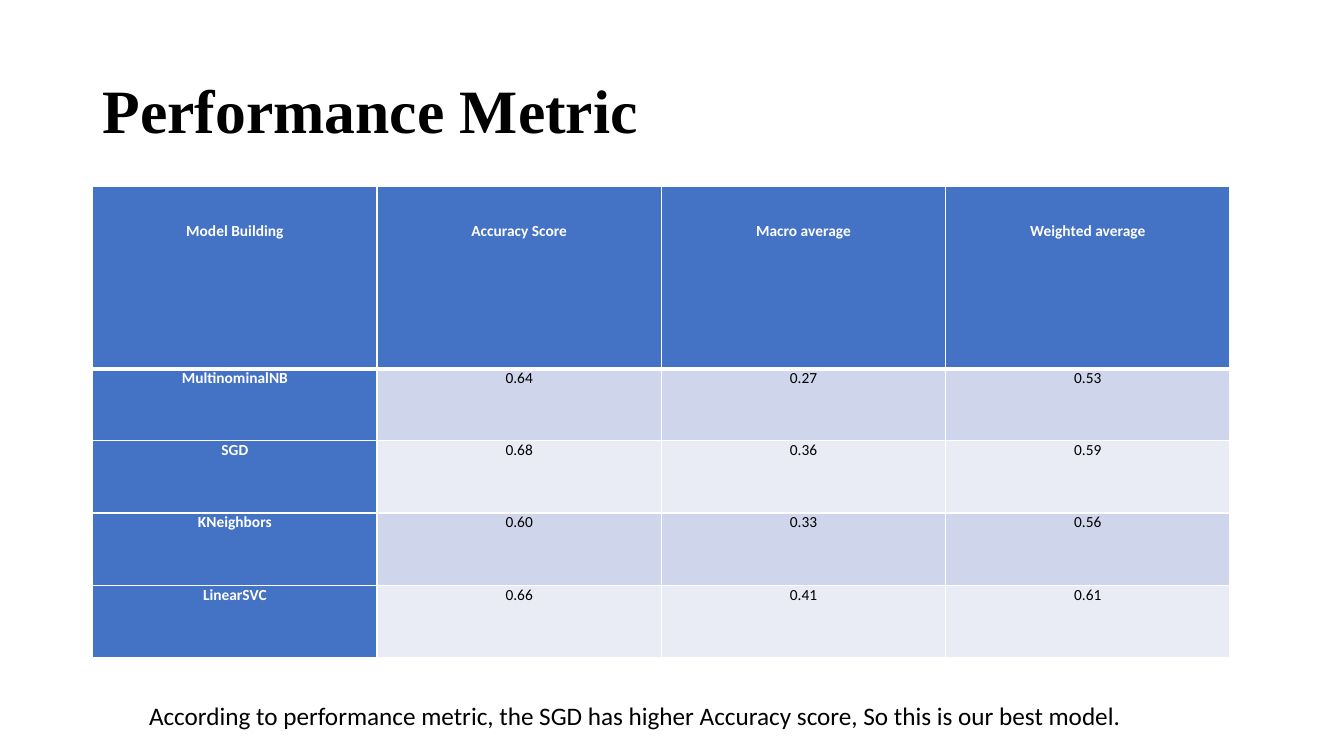
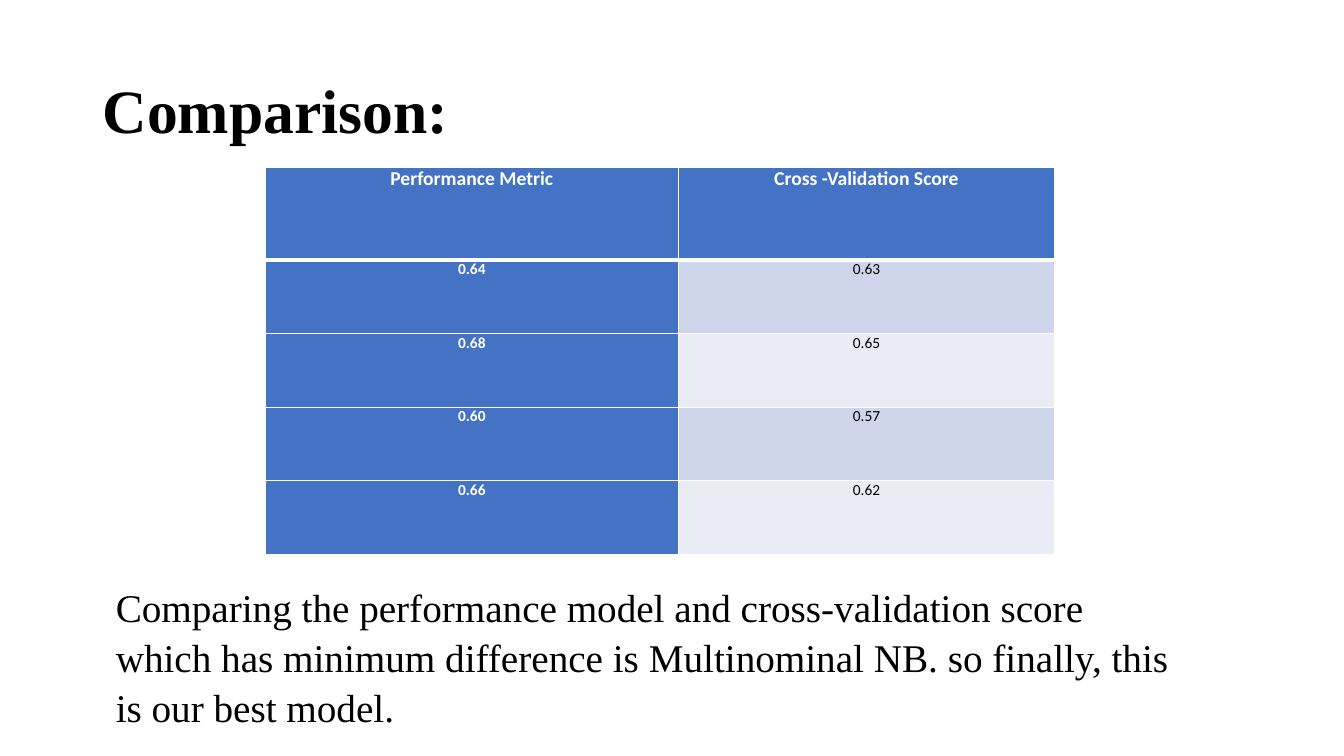
from lxml import etree
from pptx import Presentation
from pptx import util as u
from pptx.dml.color import RGBColor
from pptx.enum import text as t
from pptx.oxml.ns import qn

BLACK, WHITE, BLUE = "000000", "FFFFFF", "4472C4"
BANDS = ("CFD5EA", "E9EBF5")
SERIF, SANS = "Times New Roman", "Calibri"
TITLE_BOX = (0.92, 0.4, 11.5, 1.45)


def rgb(value):
    """Turn a hex string into a colour."""
    return RGBColor.from_string(value)


def write(frame, wording, font=SANS, size=11, color=BLACK, bold=False,
          align=t.PP_ALIGN.LEFT, spacing=1.0, after=0):
    """Write one formatted paragraph into a text frame."""
    frame.word_wrap = True
    paragraph = frame.paragraphs[0]
    paragraph.alignment = align
    paragraph.line_spacing = spacing
    paragraph.space_after = u.Pt(after)
    run = paragraph.add_run()
    run.text = wording
    run.font.name = font
    run.font.size = u.Pt(size)
    run.font.bold = bold
    run.font.color.rgb = rgb(color)


def add_text(slide, box, wording, anchor=t.MSO_ANCHOR.TOP,
             fit=t.MSO_AUTO_SIZE.SHAPE_TO_FIT_TEXT, **style):
    """Place a text box in the given box."""
    frame = slide.shapes.add_textbox(*map(u.Inches, box)).text_frame
    frame.vertical_anchor = anchor
    frame.auto_size = fit
    write(frame, wording, **style)


def add_title(slide, wording):
    """Place the shared bold slide title."""
    add_text(slide, TITLE_BOX, wording, anchor=t.MSO_ANCHOR.MIDDLE,
             fit=t.MSO_AUTO_SIZE.NONE, font=SERIF, size=44, bold=True,
             spacing=0.9)


def rule_cell(cell, top, bottom):
    """Draw white borders around a cell; widths are in points."""
    properties = cell._tc.get_or_add_tcPr()
    for side, width in (("L", 1), ("R", 1), ("T", top), ("B", bottom)):
        line = etree.SubElement(properties, qn(f"a:ln{side}"),
                                w=str(u.Pt(width)))
        fill = etree.SubElement(line, qn("a:solidFill"))
        etree.SubElement(fill, qn("a:srgbClr"), val=WHITE)


def add_scores(slide, left, top, widths, heights, rows,
               header_size=11, header_inset=0):
    """Place a score table with a blue header row and first column."""
    table = slide.shapes.add_table(
        len(rows), len(widths), u.Inches(left), u.Inches(top),
        u.Inches(sum(widths)), u.Inches(sum(heights))).table
    table.first_col = True
    table.horz_banding = False
    for column, width in zip(table.columns, widths):
        column.width = u.Inches(width)
    for r, (height, values) in enumerate(zip(heights, rows)):
        table.rows[r].height = u.Inches(height)
        header = r == 0
        for c, value in enumerate(values):
            cell = table.cell(r, c)
            heading = header or c == 0
            rule_cell(cell, top=3 if r == 1 else 1, bottom=3 if header else 1)
            cell.fill.solid()
            cell.fill.fore_color.rgb = rgb(
                BLUE if heading else BANDS[(r - 1) % 2])
            cell.margin_left = cell.margin_right = u.Inches(0.07)
            cell.margin_top = u.Inches(header_inset if header else 0)
            cell.margin_bottom = 0
            write(cell.text_frame, value, size=header_size if header else 11,
                  color=WHITE if heading else BLACK, bold=heading,
                  align=t.PP_ALIGN.CENTER, after=12)


def build_metric(slide):
    """Build the slide with the scores of each model."""
    add_title(slide, "Performance Metric")
    add_text(slide, (1.38, 6.9, 10.83, 0.4),
             "According to performance metric, the SGD has higher Accuracy "
             "score, So this is our best model.", size=18)
    add_scores(slide, 0.92, 1.85, [2.82] * 4, [1.81, 0.71, 0.72, 0.72, 0.71], [
        ("Model Building", "Accuracy Score", "Macro average",
         "Weighted average"),
        ("MultinominalNB", "0.64", "0.27", "0.53"),
        ("SGD", "0.68", "0.36", "0.59"),
        ("KNeighbors", "0.60", "0.33", "0.56"),
        ("LinearSVC", "0.66", "0.41", "0.61"),
    ], header_inset=0.35)


def build_comparison(slide):
    """Build the slide that compares the two scores."""
    add_title(slide, "Comparison:")
    add_text(slide, (1.05, 5.7, 10.7, 1.59),
             "Comparing the performance model and cross-validation score "
             "which has minimum difference is Multinominal NB. so finally, "
             "this is our best model.",
             font=SERIF, size=28, spacing=1.07, after=8)
    add_scores(slide, 2.63, 1.66, [4.1, 3.73], [0.92] + [0.73] * 4, [
        ("Performance Metric", "Cross -Validation Score"),
        ("0.64", "0.63"),
        ("0.68", "0.65"),
        ("0.60", "0.57"),
        ("0.66", "0.62"),
    ], header_size=14)


deck = Presentation()
deck.slide_width, deck.slide_height = u.Inches(13.33), u.Inches(7.5)
for build in (build_metric, build_comparison):
    build(deck.slides.add_slide(deck.slide_layouts[6]))
deck.save("out.pptx")
